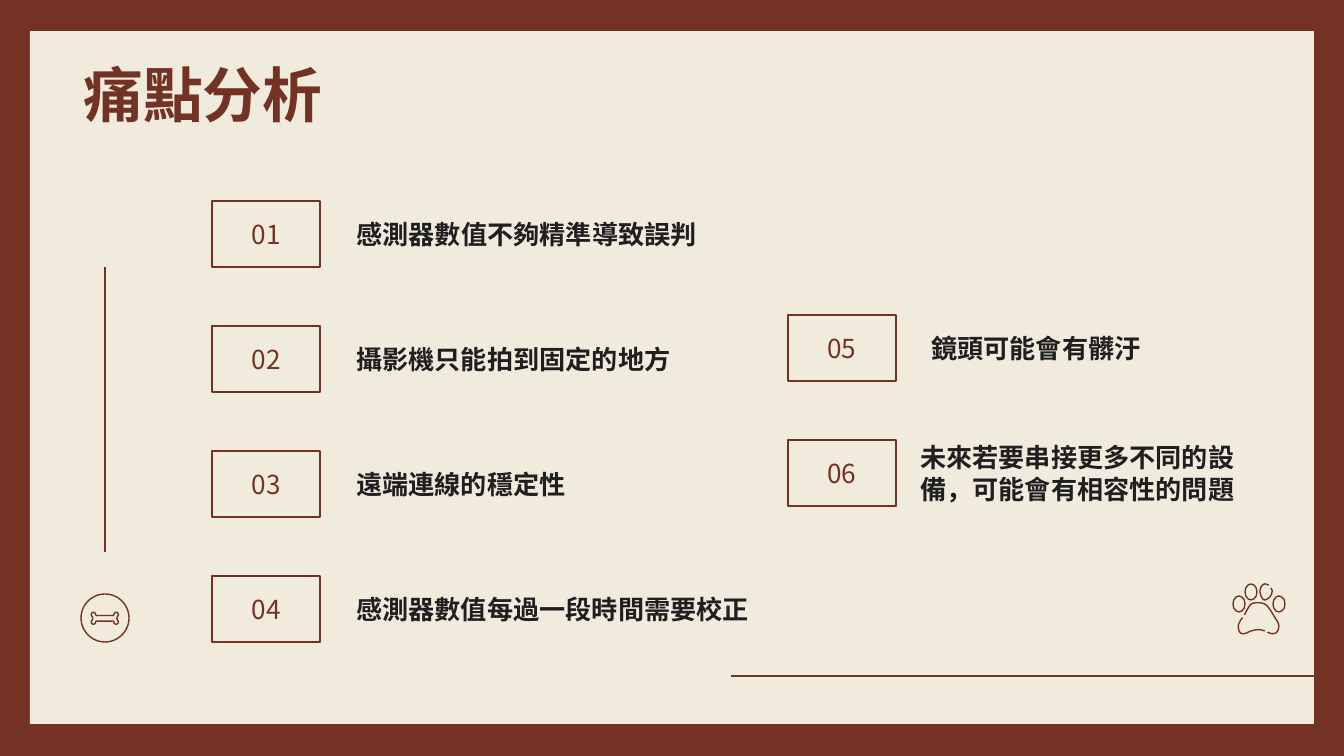
from lxml.etree import SubElement
from pptx import Presentation
from pptx.dml.color import RGBColor
from pptx.enum.shapes import MSO_CONNECTOR as Connector, MSO_SHAPE as Shape
from pptx.enum.text import MSO_ANCHOR as Anchor, MSO_AUTO_SIZE as AutoSize, PP_ALIGN as Align
from pptx.oxml.ns import qn
from pptx.util import Inches, Pt

PX = 914400 / 134.4
FONT = "Noto Sans CJK SC"
BROWN, CREAM, INK = "743225", "F0EBDD", "1F1F1F"


def px(length):
    return round(length * PX)


def color(hex_code):
    return RGBColor.from_string(hex_code)


def write(shape, text, size=14, ink=INK, bold=False, align=Align.LEFT, anchor=Anchor.MIDDLE):
    frame = shape.text_frame
    frame.auto_size = AutoSize.NONE
    frame.word_wrap = True
    frame.vertical_anchor = anchor
    frame.margin_left = frame.margin_right = Inches(0.1)
    frame.margin_top = frame.margin_bottom = Inches(0.1)
    paragraph = frame.paragraphs[0]
    paragraph.alignment = align
    paragraph.space_before = Pt(0)
    run = paragraph.add_run()
    run.text = text
    font = run.font
    font.name, font.size, font.bold = FONT, Pt(size), bold
    font.color.rgb = color(ink)
    SubElement(font._element, qn("a:ea"), typeface=FONT)


def smooth(points, closed=False, steps=6):
    if closed:
        padded = [points[-1], *points, *points[:2]]
    else:
        padded = [points[0], *points, points[-1]]
    curve = []
    for a, b, c, d in zip(padded, padded[1:], padded[2:], padded[3:]):
        for step in range(steps):
            t = step / steps
            curve.append(tuple(
                0.5 * (2 * q + (r - p) * t + (2 * p - 5 * q + 4 * r - s) * t**2
                       + (3 * q - p - 3 * r + s) * t**3)
                for p, q, r, s in zip(a, b, c, d)))
    return curve if closed else curve + [points[-1]]


class Deck:
    def __init__(self):
        self.presentation = Presentation()
        self.presentation.slide_width = px(1344)
        self.presentation.slide_height = px(756)
        self.slide = self.presentation.slides.add_slide(self.presentation.slide_layouts[1])
        self.shapes = self.slide.shapes
        background = self.slide.background.fill
        background.solid()
        background.fore_color.rgb = color(BROWN)

    def outline(self, shape):
        shape.shadow.inherit = False
        shape.fill.background()
        shape.line.color.rgb = color(BROWN)
        shape.line.width = Pt(0.75)
        return shape

    def box(self, x, y, w, h, kind=Shape.RECTANGLE):
        return self.outline(self.shapes.add_shape(kind, px(x), px(y), px(w), px(h)))

    def panel(self, x, y, w, h):
        panel = self.box(x, y, w, h)
        panel.fill.solid()
        panel.fill.fore_color.rgb = color(CREAM)
        panel.line.fill.background()
        self.shapes._spTree.insert(2, panel._element)

    def rule(self, x1, y1, x2, y2):
        rule = self.shapes.add_connector(Connector.STRAIGHT, px(x1), px(y1), px(x2), px(y2))
        rule.line.color.rgb = color(BROWN)
        rule.line.width = Pt(0.75)
        SubElement(rule._element.spPr, qn("a:effectLst"))

    def stroke(self, tenths, closed=False):
        start, *rest = smooth(tenths, closed)
        builder = self.shapes.build_freeform(*start, scale=PX / 10)
        builder.add_line_segments(rest, close=closed)
        self.outline(builder.convert_to_shape())

    def place(self, holder, x, y, w, h):
        holder.left, holder.top, holder.width, holder.height = px(x), px(y), px(w), px(h)
        return holder

    def title(self, text, *area):
        write(self.place(self.shapes.title, *area), text, size=32, ink=BROWN, bold=True,
              anchor=Anchor.TOP)

    def body(self, text, *area):
        holder = self.place(self.slide.placeholders[1], *area)
        properties = holder.text_frame.paragraphs[0]._p.get_or_add_pPr()
        properties.set("marL", "0")
        properties.set("indent", "0")
        SubElement(properties, qn("a:buNone"))
        write(holder, text, bold=True)

    def label(self, text, x, y, w, h):
        write(self.shapes.add_textbox(px(x), px(y), px(w), px(h)), text, bold=True)

    def number(self, value, x, y):
        write(self.box(x, y, 108, 66), f"{value:02}", ink=BROWN, align=Align.CENTER)


COLUMNS = [
    (212, 201, [("感測器數值不夠精準導致誤判", 131, 379),
                ("攝影機只能拍到固定的地方", 131, 379),
                ("遠端連線的穩定性", 131, 267),
                ("感測器數值每過一段時間需要校正", 131, 426)]),
    (788, 315, [("鏡頭可能會有髒汙", 130, 267),
                ("未來若要串接更多不同的設備，可能會有相容性的問題", 119, 367)]),
]
PAW_TOES = [(1233, 596), (1273, 596), (1245, 584)]
PAW_STROKES = [
    [(12708, 5880), (12721, 5914), (12701, 5967), (12647, 6001), (12613, 5967),
     (12600, 5914), (12613, 5867), (12647, 5840), (12687, 5853)],
    [(12445, 6149), (12479, 6088), (12513, 6041), (12580, 6028), (12647, 6041),
     (12694, 6088), (12741, 6162), (12788, 6250), (12768, 6323), (12721, 6337),
     (12674, 6323)],
    [(12425, 6176), (12385, 6250), (12398, 6323), (12445, 6337), (12513, 6310),
     (12587, 6297), (12647, 6310)],
]
BONE_CENTER = (1049, 6183)
BONE_KNOB = [(60, -28), (85, -28), (95, -48), (112, -60), (130, -52), (134, -32), (120, 0)]


def main():
    deck = Deck()
    deck.panel(30, 31, 1284, 693)
    deck.rule(731, 676, 1326, 676)
    deck.rule(105, 267, 105, 552)
    deck.title("痛點分析", 70, 44, 1204, 130)

    value = 0
    for left, top, items in COLUMNS:
        for row, (text, offset, width) in enumerate(items):
            value += 1
            y = top + 125 * row
            deck.number(value, left, y)
            add_text = deck.body if value == 1 else deck.label
            add_text(text, left + offset, y, width, 66)

    for x, y in PAW_TOES:
        deck.box(x, y, 12, 16, Shape.OVAL)
    for points in PAW_STROKES:
        deck.stroke(points)

    deck.box(81, 594, 48, 48, Shape.OVAL)
    right = BONE_KNOB + [(x, -y) for x, y in BONE_KNOB[-2::-1]]
    left = [(-x, -y) for x, y in right]
    center_x, center_y = BONE_CENTER
    deck.stroke([(center_x + x, center_y + y) for x, y in right + left], closed=True)

    deck.presentation.save("out.pptx")


if __name__ == "__main__":
    main()
